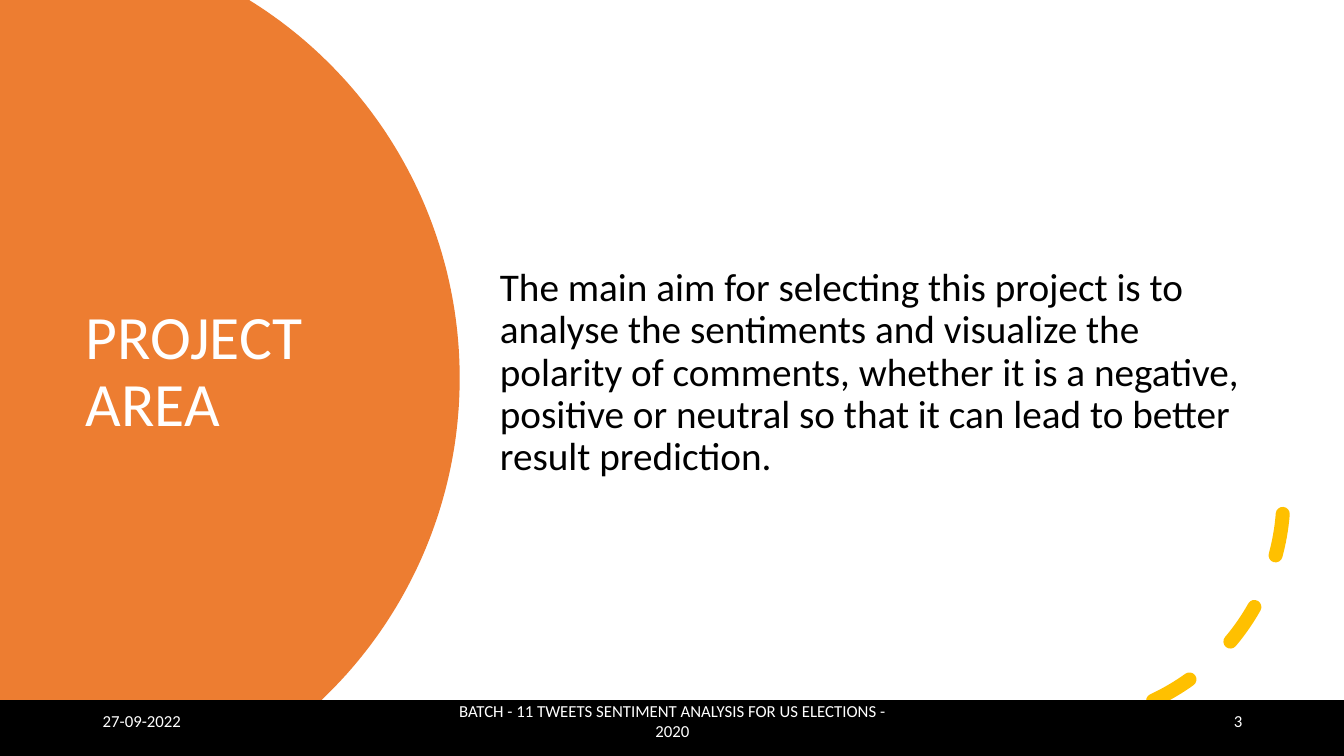
import math

import pptx
import pptx.dml.color
import pptx.enum.dml
import pptx.enum.shapes
import pptx.enum.text
import pptx.util

Inches = pptx.util.Inches
Pt = pptx.util.Pt
ALIGN = pptx.enum.text.PP_ALIGN
SHAPE = pptx.enum.shapes.MSO_SHAPE

WIDTH, HEIGHT = 13.33, 7.5
BAR_TOP = 6.95
RADIUS, CENTER_X = 4.41, 0.15
ARC_STEPS = 120

HEADINGS = [
    ("PROJECT AREA", (0.75, 1.26, 3.5, 4.88), 44, "FFFFFF"),
    ("The main aim for selecting this project is to analyse the sentiments "
     "and visualize the polarity of comments, whether it is a negative, "
     "positive or neutral so that it can lead to better result prediction.",
     (4.86, 0.65, 7.55, 6.11), 28, "000000"),
]
FOOTERS = [
    ("27-09-2022", 0.92, 3, ALIGN.LEFT),
    ("BATCH - 11 TWEETS SENTIMENT ANALYSIS FOR US ELECTIONS - 2020",
     4.42, 4.5, ALIGN.CENTER),
    ("3", 9.42, 3, ALIGN.RIGHT),
]


def rgb(value):
    return pptx.dml.color.RGBColor.from_string(value)


def paint(sp, fill=None, line=None, width=1):
    sp.shadow.inherit = False
    if fill:
        sp.fill.solid()
        sp.fill.fore_color.rgb = rgb(fill)
    else:
        sp.fill.background()
    if line:
        sp.line.color.rgb = rgb(line)
        sp.line.width = Pt(width)
    else:
        sp.line.fill.background()


def add_text(s, text, box, size, color, paragraph):
    tf = s.shapes.add_textbox(*map(Inches, box)).text_frame
    tf.word_wrap = True
    tf.vertical_anchor = pptx.enum.text.MSO_ANCHOR.MIDDLE
    p = tf.paragraphs[0]
    for name, value in paragraph.items():
        setattr(p, name, value)
    r = p.add_run()
    r.text = text
    for name, value in {"name": "Calibri", "size": Pt(size)}.items():
        setattr(r.font, name, value)
    r.font.color.rgb = rgb(color)


def add_disc(s):
    middle = HEIGHT / 2
    limit = math.asin(middle / RADIUS)
    angles = [limit * (2 * i / ARC_STEPS - 1) for i in range(ARC_STEPS + 1)]
    edge = [(Inches(CENTER_X + RADIUS * math.cos(a)),
             Inches(middle + RADIUS * math.sin(a))) for a in angles]
    builder = s.shapes.build_freeform(0, 0)
    builder.add_line_segments(edge + [(0, Inches(HEIGHT))], close=True)
    paint(builder.convert_to_shape(), "ED7D31")


def add_dashed_arc(s):
    sp = s.shapes.add_shape(SHAPE.ARC, *map(Inches, (8.26, 2.69, 4.47, 4.47)))
    paint(sp, line="FFC000", width=10)
    sp.line.dash_style = pptx.enum.dml.MSO_LINE.DASH
    sp.line._get_or_add_ln().set("cap", "rnd")
    sp._element.spPr.xfrm.set("flipV", "1")


def main():
    prs = pptx.Presentation()
    prs.slide_width, prs.slide_height = Inches(WIDTH), Inches(HEIGHT)
    s = prs.slides.add_slide(prs.slide_layouts[6])
    add_disc(s)
    add_dashed_arc(s)
    for text, box, size, color in HEADINGS:
        add_text(s, text, box, size, color, {"line_spacing": 0.9})
    bar = s.shapes.add_shape(SHAPE.RECTANGLE, 0, Inches(BAR_TOP),
                             Inches(WIDTH), Inches(HEIGHT - BAR_TOP))
    paint(bar, "000000", "000000")
    for text, left, width, align in FOOTERS:
        add_text(s, text, (left, BAR_TOP, width, 0.4), 12, "FFFFFF",
                 {"alignment": align})
    prs.save("out.pptx")


if __name__ == "__main__":
    main()
